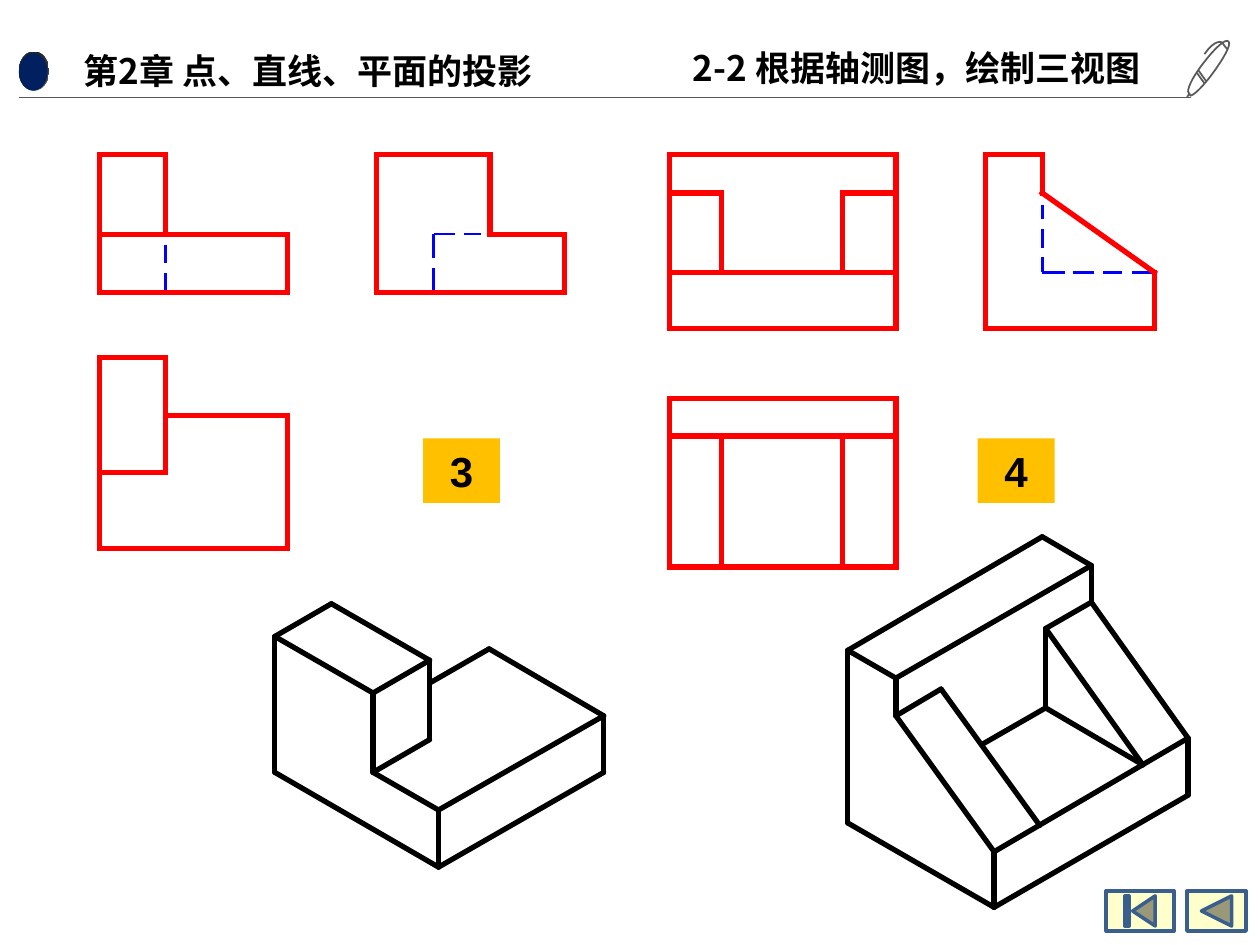
"""Build a slide of three-view drawings derived from two axonometric solids."""
from lxml import etree
from pptx import Presentation
from pptx.dml.color import RGBColor
from pptx.enum.shapes import MSO_CONNECTOR, MSO_SHAPE
from pptx.enum.text import MSO_ANCHOR, MSO_AUTO_SIZE, PP_ALIGN
from pptx.oxml.ns import qn
from pptx.util import Cm, Pt

rgb = RGBColor.from_string
HEADING_FONT = "Noto Sans CJK SC"


def draw_path(points, color, width, cap):
    for (x1, y1), (x2, y2) in zip(points, points[1:]):
        connector = slide.shapes.add_connector(
            MSO_CONNECTOR.STRAIGHT, Cm(x1), Cm(y1), Cm(x2), Cm(y2))
        connector.line.color.rgb = rgb(color)
        connector.line.width = Pt(width)
        properties = connector._element.spPr
        properties.find(qn("a:ln")).set("cap", cap)
        etree.SubElement(properties, qn("a:effectLst"))


def write_text(shape, text, size, font_name, alignment, anchor):
    frame = shape.text_frame
    frame.text = text
    frame.word_wrap = True
    frame.auto_size = MSO_AUTO_SIZE.NONE
    frame.vertical_anchor = anchor
    paragraph = frame.paragraphs[0]
    paragraph.alignment = alignment
    run = paragraph.runs[0]
    run.font.size = Pt(size)
    run.font.bold = True
    run.font.name = font_name
    run.font.color.rgb = rgb("000000")
    east_asian = etree.SubElement(run._r.get_or_add_rPr(), qn("a:ea"))
    east_asian.set("typeface", font_name)


presentation = Presentation()
presentation.slide_width = Cm(25.4)
presentation.slide_height = Cm(19.05)
slide = presentation.slides.add_slide(presentation.slide_layouts[5])

title = slide.shapes.title
title.left, title.top, title.width, title.height = Cm(1.5), Cm(0.89), Cm(10.34), Cm(1.04)
write_text(title, "第2章 点、直线、平面的投影", 20, HEADING_FONT, PP_ALIGN.LEFT, MSO_ANCHOR.TOP)
title.text_frame.margin_left = title.text_frame.margin_right = Cm(0.18)
title.text_frame.margin_top = title.text_frame.margin_bottom = Cm(0.1)

section = slide.shapes.add_textbox(Cm(13.72), Cm(0.81), Cm(10.31), Cm(1.12))
write_text(section, "2-2 根据轴测图，绘制三视图", 20, HEADING_FONT, PP_ALIGN.LEFT, MSO_ANCHOR.TOP)

bullet_rim = slide.shapes.add_shape(MSO_SHAPE.OVAL, Cm(0.38), Cm(1.04), Cm(0.61), Cm(0.79))
bullet_rim.fill.gradient()
for stop, color in zip(bullet_rim.fill.gradient_stops, ("595959", "262626")):
    stop.color.rgb = rgb(color)
bullet = slide.shapes.add_shape(MSO_SHAPE.OVAL, Cm(0.38), Cm(1.07), Cm(0.58), Cm(0.76))
bullet.fill.solid()
bullet.fill.fore_color.rgb = rgb("002060")
for oval in (bullet_rim, bullet):
    oval.line.fill.background()
    oval.shadow.inherit = False

draw_path([(0.38, 1.96), (24, 1.96)], "595959", 0.75, "flat")

pen_strokes = [
    [(24.28, 1.68)] + [(24.13, 1.47)] * 3,
    [(24.16, 1.42)] + [(24.31, 1.63)] * 3,
    [(24.77, 0.84), (24.71, 0.76), (24.49, 0.97), (24.26, 1.27),
     (24.08, 1.5), (23.95, 1.73), (23.95, 1.85)] + [(24, 1.93)] * 3
    + [(24.08, 1.91), (24.26, 1.73), (24.43, 1.5),
       (24.66, 1.19), (24.82, 0.91), (24.77, 0.84)],
    [(23.98, 1.88)] + [(23.93, 1.96)] * 3,
    [(24.74, 0.99), (24.74, 0.99), (24.69, 0.94), (24.64, 0.86),
     (24.64, 0.86), (24.51, 0.76), (24.28, 1.09)],
]
UNITS, STEPS = 1000, 8
builder = None
for stroke in pen_strokes:
    start = [value * UNITS for value in stroke[0]]
    if builder is None:
        builder = slide.shapes.build_freeform(*start, scale=Cm(1) / UNITS)
    else:
        builder.move_to(*start)
    curve_points = []
    for first in range(0, len(stroke) - 1, 3):
        controls = stroke[first:first + 4]
        for step in range(1, STEPS + 1):
            t = step / STEPS
            weights = ((1 - t) ** 3, 3 * t * (1 - t) ** 2, 3 * t * t * (1 - t), t ** 3)
            curve_points.append([
                UNITS * sum(weight * point[axis] for weight, point in zip(weights, controls))
                for axis in (0, 1)])
    builder.add_line_segments(curve_points, close=False)
pen = builder.convert_to_shape()
pen.fill.background()
pen.line.color.rgb = rgb("595959")
pen.line.width = Pt(1)
pen.shadow.inherit = False

buttons = [
    (MSO_SHAPE.ACTION_BUTTON_BEGINNING, 22.3, 1.37),
    (MSO_SHAPE.ACTION_BUTTON_BACK_OR_PREVIOUS, 23.93, 1.19),
]
for kind, left, width in buttons:
    button = slide.shapes.add_shape(kind, Cm(left), Cm(17.96), Cm(width), Cm(0.81))
    button.fill.solid()
    button.fill.fore_color.rgb = rgb("FFFFCC")
    button.line.color.rgb = rgb("3A5F8C")
    button.line.width = Pt(2)
    button.shadow.inherit = False

solid_3 = [
    [(5.54, 12.83), (6.68, 12.17), (8.66, 13.31), (7.52, 13.97), (5.54, 12.83),
     (5.54, 15.57), (8.84, 17.48), (12.17, 15.57), (12.17, 14.43), (9.86, 13.08),
     (8.66, 13.77)],
    [(8.66, 13.31), (8.66, 14.91), (7.52, 15.57), (7.52, 13.97)],
    [(7.52, 15.57), (8.84, 16.33), (12.17, 14.43)],
    [(8.84, 16.33), (8.84, 17.48)],
]
solid_4 = [
    [(17.09, 13.11), (21.01, 10.82), (22, 11.4), (18.06, 13.67), (17.09, 13.11),
     (17.09, 15.47), (17.09, 16.59), (20.04, 18.29), (23.95, 16.03), (23.95, 14.88),
     (20.04, 17.17), (20.04, 18.29)],
    [(18.06, 13.67), (18.06, 14.43), (18.97, 13.89), (20.96, 16.64)],
    [(18.06, 14.43), (20.04, 17.17)],
    [(22, 11.4), (22, 12.14), (23.95, 14.88)],
    [(22, 12.14), (21.08, 12.67), (23.04, 15.42), (21.08, 14.27), (21.08, 12.67)],
    [(21.08, 14.27), (19.79, 15.01)],
]
views_3 = [
    [(2.01, 5.89), (2.01, 4.72), (2.01, 3.12), (3.33, 3.12), (3.33, 4.72)],
    [(2.01, 4.72), (5.79, 4.72), (5.79, 5.89), (2.01, 5.89)],
    [(7.59, 5.89), (7.59, 4.72), (7.59, 3.12), (9.88, 3.12), (9.88, 4.72),
     (11.38, 4.72), (11.38, 5.89), (7.59, 5.89)],
    [(2.01, 9.53), (3.33, 9.53), (3.33, 7.21), (2.01, 7.21), (2.01, 11.05),
     (5.79, 11.05), (5.79, 8.38), (3.33, 8.38)],
]
views_4 = [
    [(13.49, 5.49), (13.49, 3.12), (18.06, 3.12), (18.06, 6.62), (13.49, 6.62),
     (13.49, 5.49), (18.06, 5.49)],
    [(13.49, 3.89), (14.55, 3.89), (14.55, 5.49)],
    [(18.06, 3.89), (16.99, 3.89), (16.99, 5.49)],
    [(13.49, 8.03), (18.06, 8.03), (18.06, 11.43), (13.49, 11.43), (13.49, 8.03)],
    [(13.49, 8.79), (18.06, 8.79)],
    [(14.55, 8.79), (14.55, 11.43)],
    [(16.99, 8.79), (16.99, 11.43)],
    [(19.86, 6.62), (19.86, 5.49), (19.86, 3.12), (21.01, 3.12), (21.01, 3.89),
     (23.27, 5.49), (23.27, 6.62), (19.86, 6.62)],
]
vertical_dashes = [
    (3.33, [(4.93, 5.31), (5.51, 5.89)]),
    (8.74, [(5.89, 5.41), (5.21, 4.72)]),
    (21.01, [(5.49, 5.18), (5, 4.62), (4.42, 4.14)]),
]
horizontal_dashes = [
    (4.72, [(9.7, 9.35), (9.17, 8.74)]),
    (5.49, [(23.27, 22.81), (22.61, 22.23), (22.05, 21.64), (21.46, 21.01)]),
]
hidden_edges = [[(x, y1), (x, y2)] for x, dashes in vertical_dashes for y1, y2 in dashes]
hidden_edges += [[(x1, y), (x2, y)] for y, dashes in horizontal_dashes for x1, x2 in dashes]

for paths, color, width, cap in (
        (solid_3 + solid_4, "000000", 3, "rnd"),
        (hidden_edges, "0000FF", 1.5, "flat"),
        (views_3 + views_4, "FF0000", 3, "sq")):
    for points in paths:
        draw_path(points, color, width, cap)

for number, left in (("3", 8.53), ("4", 19.71)):
    badge = slide.shapes.add_shape(MSO_SHAPE.RECTANGLE, Cm(left), Cm(8.84), Cm(1.55), Cm(1.3))
    badge.fill.solid()
    badge.fill.fore_color.rgb = rgb("FFC000")
    badge.line.fill.background()
    badge.shadow.inherit = False
    write_text(badge, number, 24, "Arial", PP_ALIGN.CENTER, MSO_ANCHOR.MIDDLE)

presentation.save("out.pptx")
